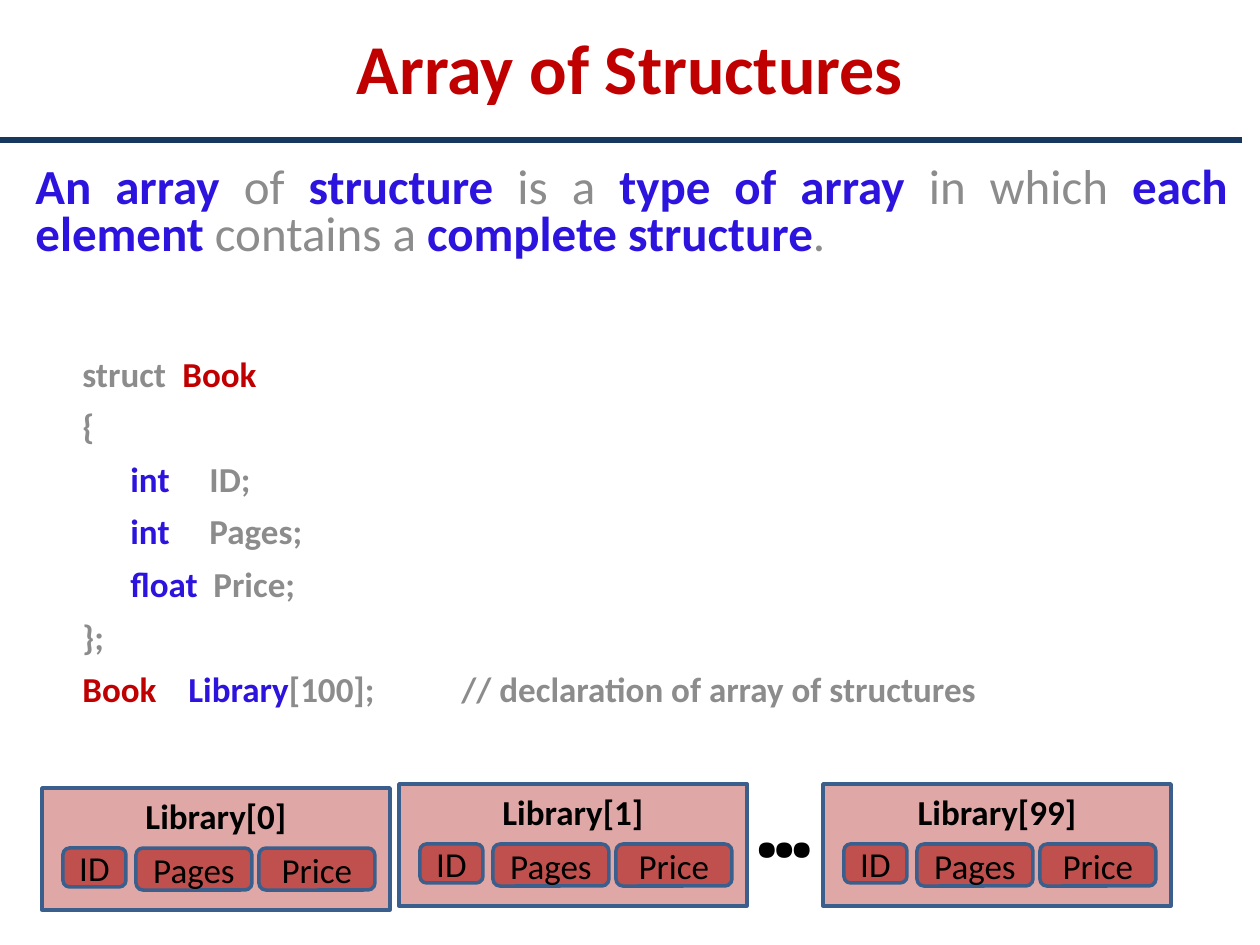
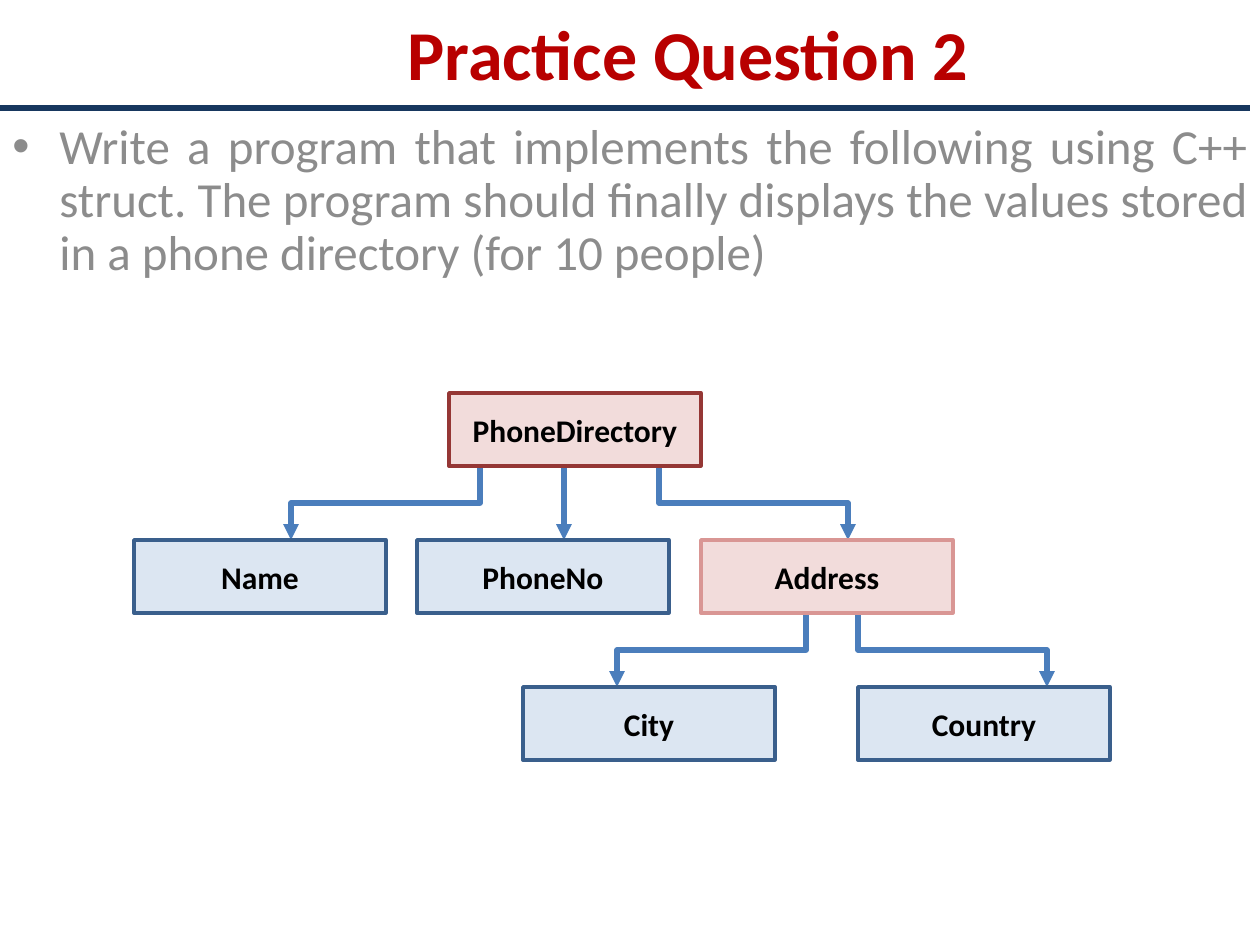
from dataclasses import dataclass

from lxml.etree import SubElement as Sub
from pptx import Presentation
from pptx.dml.color import RGBColor as Rgb
from pptx.enum.shapes import MSO_CONNECTOR as Link, MSO_SHAPE as Kind
from pptx.enum.text import MSO_ANCHOR as Anchor, PP_ALIGN as Align
from pptx.oxml.ns import qn
from pptx.util import Emu, Pt


@dataclass(frozen=True)
class Theme:
    font: str = "Calibri"
    mono: str = "Noto Sans Mono"
    title: str = "C00000"
    title2: str = "B80000"
    rule: str = "17375E"
    gray: str = "8C8C8C"
    blue: str = "2C14DE"
    red: str = "C00000"
    black: str = "000000"
    brick: str = "C0504D"
    edge: str = "3A5F8C"
    ice: str = "DCE6F2"
    rose: str = "F2DCDB"
    pink: str = "D99694"
    wine: str = "953735"
    arrow: str = "4B7EBC"
    head_pt: int = 40
    body_pt: int = 28
    code_pt: int = 20
    node_pt: int = 18
    dots_pt: int = 50


T = Theme()
WIDE, HIGH = 1260, 945
SCALE = 914400 / 126
NODE_W, NODE_H = 252, 73


def px(num):
    return Emu(round(num * SCALE))


def apply(target, form):
    for key, val in form.items():
        setattr(target, key, val)


def style(color, size, bold=False, name=T.font):
    return {"color": color, "size": Pt(size), "bold": bold, "name": name}


def write(para, runs, **form):
    """Fill a paragraph with (text, style) runs."""
    apply(para, form)
    for text, look in runs:
        run = para.add_run()
        run.text = text
        run.font.color.rgb = Rgb.from_string(look["color"])
        apply(run.font, {k: v for k, v in look.items() if k != "color"})


def set_tabs(para, stops):
    tabs = Sub(para._p.get_or_add_pPr(), qn("a:tabLst"))
    for stop in stops:
        Sub(tabs, qn("a:tab"), pos=str(px(stop)), algn="l")


def set_bullet(para, indent):
    props = para._p.get_or_add_pPr()
    props.set("marL", str(px(indent)))
    props.set("indent", str(-px(indent)))
    Sub(props, qn("a:buFont"), typeface="Arial")
    Sub(props, qn("a:buChar"), char="•")


def add_text(slide, box, anchor=Anchor.TOP):
    frame = slide.shapes.add_textbox(*map(px, box)).text_frame
    apply(frame, {"word_wrap": True, "vertical_anchor": anchor})
    return frame


def add_box(shapes, kind, box, fill, edge=None, label=None, anchor=Anchor.MIDDLE):
    """Draw a preset shape; label is one (text, style) run."""
    shape = shapes.add_shape(kind, *map(px, box))
    shape.shadow.inherit = False
    shape.fill.solid()
    shape.fill.fore_color.rgb = Rgb.from_string(fill)
    if edge:
        shape.line.color.rgb = Rgb.from_string(edge)
        shape.line.width = Pt(2)
    else:
        shape.line.fill.background()
    if label:
        shape.text_frame.vertical_anchor = anchor
        write(shape.text_frame.paragraphs[0], [label], alignment=Align.CENTER)
    return shape


def add_head(slide, text, box, color, rule):
    frame = add_text(slide, box, Anchor.MIDDLE)
    write(frame.paragraphs[0], [(text, style(color, T.head_pt, True))],
          alignment=Align.CENTER)
    add_box(slide.shapes, Kind.RECTANGLE, rule, T.rule)


def add_card(slide, left, top, name):
    """Draw one array element with its three fields, as a group."""
    shapes = slide.shapes.add_group_shape().shapes
    card = add_box(shapes, Kind.RECTANGLE, (left, top, 348, 122), T.brick, T.edge,
                   (name, style(T.black, T.code_pt, True)), Anchor.TOP)
    tint = card._element.spPr.find(qn("a:solidFill"))[0]
    Sub(tint, qn("a:alpha"), val="50000")
    fields = ("ID", 21, 63, 39), ("Pages", 94, 116, 42), ("Price", 217, 116, 42)
    for field, shift, width, height in fields:
        add_box(shapes, Kind.ROUNDED_RECTANGLE, (left + shift, top + 60, width, height),
                T.brick, T.edge, (field, style(T.black, T.code_pt)))


def add_link(slide, x1, y1, x2, y2):
    """Draw an arrow that goes down, across and down again."""
    if x1 == x2:
        line = slide.shapes.add_connector(Link.STRAIGHT, *map(px, (x1, y1, x2, y2)))
    else:
        # An elbow starts sideways, so it is laid flat and then turned.
        side = 1 if x2 < x1 else -1
        mid_x, mid_y = (x1 + x2) / 2, (y1 + y2) / 2
        half_w, half_h = side * (y2 - y1) / 2, abs(x2 - x1) / 2
        ends = (mid_x - half_w, mid_y - half_h, mid_x + half_w, mid_y + half_h)
        line = slide.shapes.add_connector(Link.ELBOW, *map(px, ends))
        turn = 90 if side > 0 else 270
        line._element.spPr.find(qn("a:xfrm")).set("rot", str(turn * 60000))
    line.line.color.rgb = Rgb.from_string(T.arrow)
    line.line.width = Pt(3)
    Sub(line.line._get_or_add_ln(), qn("a:tailEnd"), type="triangle")
    Sub(line._element.spPr, qn("a:effectLst"))


def add_code(frame):
    gray, blue, red = (style(c, T.code_pt, True) for c in (T.gray, T.blue, T.red))
    lines = [
        ((47, 147), [("\tstruct\t", gray), ("Book", red)]),
        ((47,), [("\t{", gray)]),
        ((95, 174), [("\tint", blue), ("\tID;", gray)]),
        ((95, 174), [("\tint", blue), ("\tPages;", gray)]),
        ((95, 178), [("\tfloat", blue), ("\tPrice;", gray)]),
        ((47,), [("\t};", gray)]),
        ((47, 153, 426), [("\tBook", red), ("\tLibrary", blue),
                          ("[100];\t// declaration of array of structures", gray)]),
    ]
    for num, (stops, runs) in enumerate(lines):
        para = frame.add_paragraph()
        set_tabs(para, stops)
        write(para, runs, alignment=Align.LEFT, space_before=Pt(6 if num else 52))


def draw_array(slide):
    add_head(slide, "Array of Structures", (5, -1, 1250, 136), T.title,
             (0, 137, 1242, 6))
    frame = add_text(slide, (23, 161, 1217, 585))
    plain, bold = style(T.gray, T.body_pt), style(T.blue, T.body_pt, True)
    parts = ["An array ", "of ", "structure", " is a ", "type of array ", "in which ",
             "each element", " contains a ", "complete structure", "."]
    runs = [(part, plain if num % 2 else bold) for num, part in enumerate(parts)]
    write(frame.paragraphs[0], runs, alignment=Align.JUSTIFY, line_spacing=0.8)
    add_code(frame)
    for left, top, num in (42, 788, 0), (399, 784, 1), (823, 784, 99):
        add_card(slide, left, top, f"Library[{num}]")
    dots = add_text(slide, (746, 764, 78, 118))
    write(dots.paragraphs[0], [("…", style(T.black, T.dots_pt, True, T.mono))])


def draw_tree(slide):
    frame = add_text(slide, (0, 116, 1260, 228))
    para = frame.paragraphs[0]
    set_bullet(para, 47)
    task = ("Write a program that implements the following using C++ struct. "
            "The program should finally displays the values stored "
            "in a phone directory (for 10 people)")
    write(para, [(task, style(T.gray, T.body_pt))],
          alignment=Align.JUSTIFY, line_spacing=0.9)

    rows = [393, 540, 687]
    links = [(0, 480, 291), (0, 564, 564), (0, 659, 848), (1, 806, 617), (1, 858, 1047)]
    for row, start, end in links:
        add_link(slide, start, rows[row] + NODE_H, end, rows[row + 1])
    nodes = [
        ("PhoneDirectory", 449, 0, T.rose, T.wine),
        ("Name", 134, 1, T.ice, T.edge),
        ("PhoneNo", 417, 1, T.ice, T.edge),
        ("Address", 701, 1, T.rose, T.pink),
        ("City", 523, 2, T.ice, T.edge),
        ("Country", 858, 2, T.ice, T.edge),
    ]
    for name, left, row, fill, edge in nodes:
        add_box(slide.shapes, Kind.RECTANGLE, (left, rows[row], NODE_W, NODE_H),
                fill, edge, (name, style(T.black, T.node_pt, True)))
    add_head(slide, "Practice Question 2", (126, 0, 1124, 105), T.title2,
             (0, 105, 1250, 6))


def main():
    deck = Presentation()
    deck.slide_width, deck.slide_height = px(WIDE), px(HIGH)
    for draw in draw_array, draw_tree:
        draw(deck.slides.add_slide(deck.slide_layouts[6]))
    deck.save("out.pptx")


if __name__ == "__main__":
    main()
